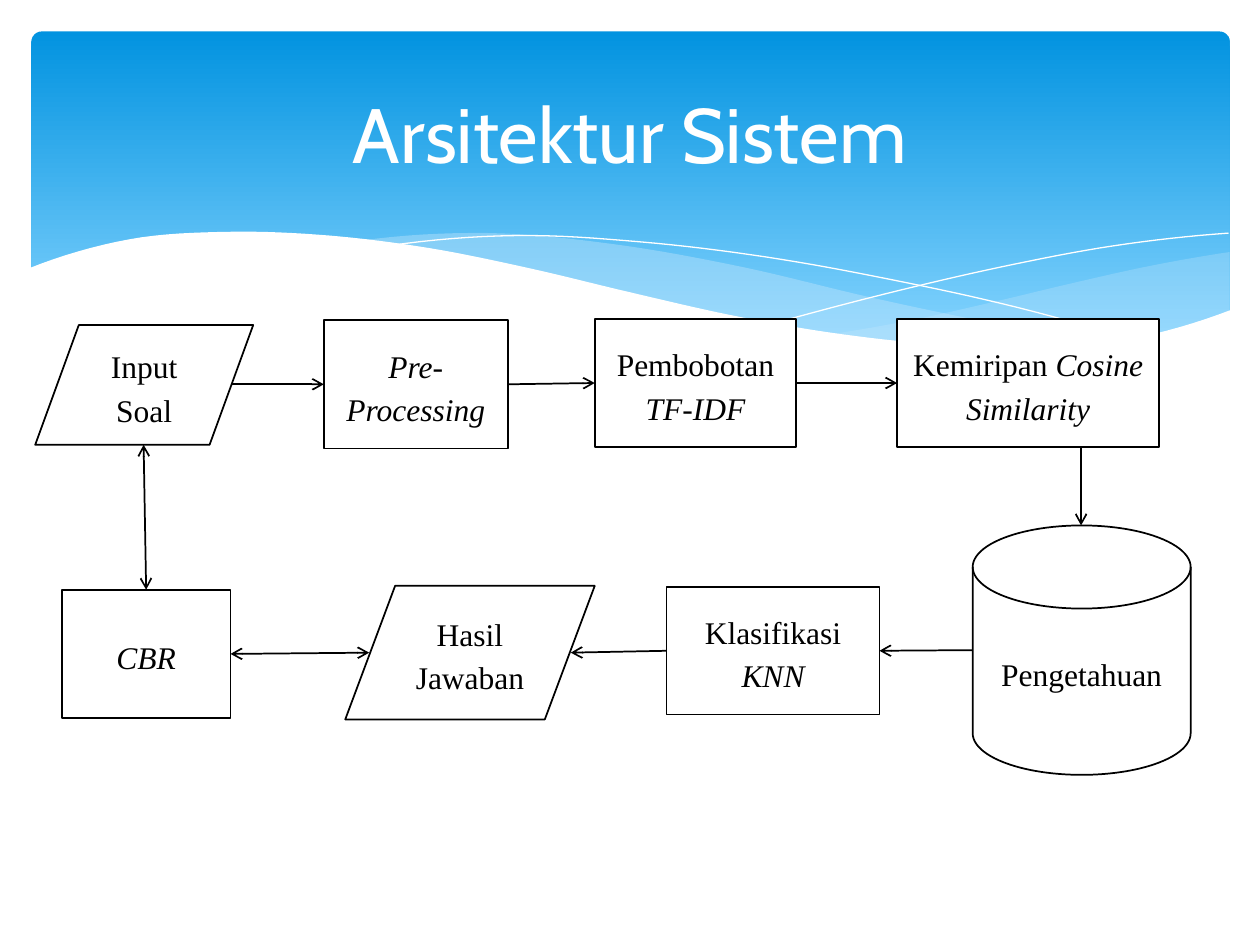
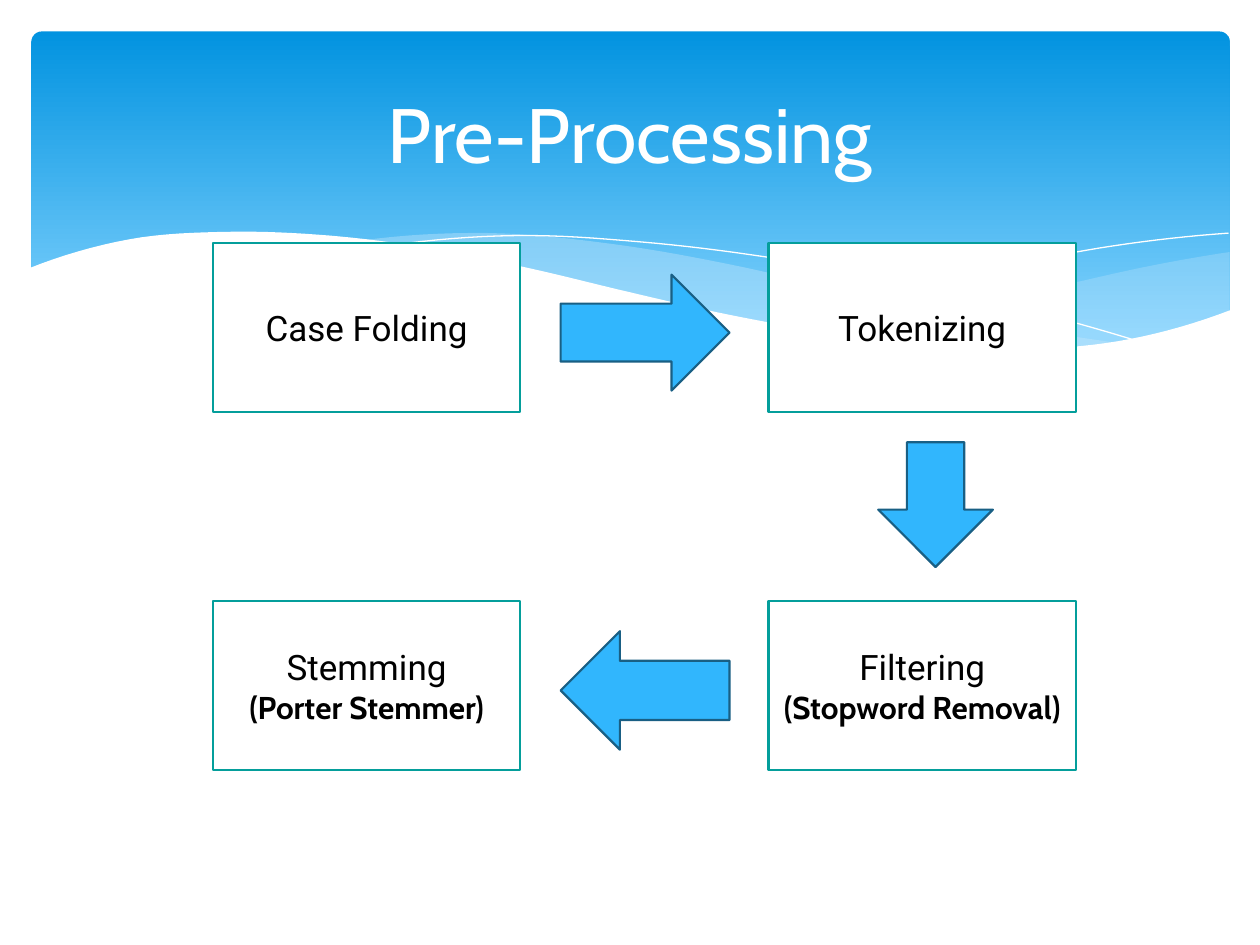
import pptx
import pptx.dml.color
import pptx.enum.shapes
import pptx.enum.text
import pptx.oxml
import pptx.oxml.ns
import pptx.util

PX = 9144  # EMU per px, 100 px to the inch
SHAPE = pptx.enum.shapes.MSO_SHAPE
NAMESPACE = pptx.oxml.ns.nsdecls("a")
COLORS = {
    "white": "FFFFFF", "black": "000000", "teal": "049E9B",
    "band_top": "0293E0", "band_bottom": "83D3FE", "wave": "C6E7FC",
    "arrow": "31B6FD", "arrow_line": "195F84",
}
RGB = {name: pptx.dml.color.RGBColor.from_string(value) for name, value in COLORS.items()}

# font, size, colour, bold, italic
STYLES = {
    "title": ("Cabin", 44, "white", False, False),
    "node": ("Times New Roman", 18, "black", False, False),
    "node_italic": ("Times New Roman", 18, "black", False, True),
    "step": ("Roboto", 20, "black", False, False),
    "method": ("Cabin", 18, "black", True, False),
}


def add_box(slide, kind, box, fill, line, line_width):
    shape = slide.shapes.add_shape(kind, *(length * PX for length in box))
    shape.shadow.inherit = False
    shape.fill.solid()
    shape.fill.fore_color.rgb = RGB[fill]
    shape.line.color.rgb = RGB[line]
    shape.line.width = pptx.util.Pt(line_width)
    return shape


def write(shape, paragraphs, line_spacing=1.0, space_after=0):
    """Fill a shape with centred paragraphs, each a list of (text, style) runs."""
    frame = shape.text_frame
    frame.word_wrap = True
    frame.vertical_anchor = pptx.enum.text.MSO_ANCHOR.MIDDLE
    for index, runs in enumerate(paragraphs):
        paragraph = frame.add_paragraph() if index else frame.paragraphs[0]
        paragraph.alignment = pptx.enum.text.PP_ALIGN.CENTER
        paragraph.line_spacing = line_spacing
        paragraph.space_after = pptx.util.Pt(space_after)
        for text, style in runs:
            name, size, color, bold, italic = STYLES[style]
            run = paragraph.add_run()
            run.text = text
            run.font.name = name
            run.font.size = pptx.util.Pt(size)
            run.font.color.rgb = RGB[color]
            run.font.bold = bold
            run.font.italic = italic


# Wave edges: left, right, and the heights at evenly spaced knots between them
EDGES = {
    "right_top": (661, 976, [265, 254, 240, 225, 211, 200]),
    "right_bottom": (661, 976, [265, 273, 277, 276, 267, 247]),
    "middle_top": (286, 893, [191, 185, 194, 212, 236, 257, 273]),
    "middle_bottom": (286, 893, [191, 207, 231, 253, 269, 278, 273]),
    "falling": (309, 907, [195, 187, 192, 204, 222, 244, 272]),
    "rising": (613, 975, [257, 233, 212, 195, 185]),
    "white_top": (23, 977, [213, 190, 184, 187, 197, 213, 232, 250, 264, 273, 277, 269, 246]),
    "white_bottom": (23, 977, [329, 329, 329]),
}
# upper edge, lower edge, fill, opacity in percent; without a lower edge it is a hairline
WAVES = [
    ("right_top", "right_bottom", "wave", 29),
    ("middle_top", "middle_bottom", "wave", 40),
    ("falling", None, None, 100),
    ("rising", None, None, 100),
    ("white_top", "white_bottom", "white", 100),
]

# Smooth every edge with a Catmull-Rom spline, extended by one knot at each end
STEPS_PER_KNOT = 8
curves = {}
for name, (left, right, heights) in EDGES.items():
    before_first = 3 * heights[0] - 3 * heights[1] + heights[2]
    after_last = 3 * heights[-1] - 3 * heights[-2] + heights[-3]
    knots = [before_first, *heights, after_last]
    spans = len(heights) - 1
    curve = []
    for sample in range(spans * STEPS_PER_KNOT + 1):
        span = min(sample // STEPS_PER_KNOT, spans - 1)
        t = sample / STEPS_PER_KNOT - span
        a, b, c, d = knots[span:span + 4]
        x = left + (right - left) * (span + t) / spans
        y = b + t / 2 * (c - a + t * (2 * a - 5 * b + 4 * c - d + t * (3 * (b - c) + d - a)))
        curve.append((round(x * PX), round(y * PX)))
    curves[name] = curve

presentation = pptx.Presentation()
presentation.slide_width = 1000 * PX
presentation.slide_height = 750 * PX

# Shared header: gradient band, waves and title
slides = []
for title in ("Arsitektur Sistem", "Pre-Processing"):
    slide = presentation.slides.add_slide(presentation.slide_layouts[6])
    slides.append(slide)

    band = add_box(slide, SHAPE.ROUNDED_RECTANGLE, (25, 25, 951, 270), "band_top", "white", 1)
    band.adjustments[0] = 0.03
    band.line.fill.background()
    band.fill.gradient()
    band.fill.gradient_angle = 270
    for stop, position, color in zip(band.fill.gradient_stops, (0, 0.9), ("band_top", "band_bottom")):
        stop.position = position
        stop.color.rgb = RGB[color]

    for upper, lower, fill, opacity in WAVES:
        outline = curves[upper] + (curves[lower][::-1] if lower else [])
        builder = slide.shapes.build_freeform(*outline[0])
        builder.add_line_segments(outline[1:], close=lower is not None)
        wave = builder.convert_to_shape()
        wave.shadow.inherit = False
        if fill:
            wave.line.fill.background()
            wave.fill.solid()
            wave.fill.fore_color.rgb = RGB[fill]
            color = wave.element.spPr.find(".//" + pptx.oxml.ns.qn("a:srgbClr"))
            color.append(pptx.oxml.parse_xml(f'<a:alpha {NAMESPACE} val="{opacity * 1000}"/>'))
        else:
            wave.fill.background()
            wave.line.color.rgb = RGB["white"]
            wave.line.width = 0

    title_box = slide.shapes.add_textbox(50 * PX, 37 * PX, 900 * PX, 137 * PX)
    write(title_box, [[(title, "title")]])

architecture, preprocessing = slides

# Slide 1: system architecture
DISK = SHAPE.FLOWCHART_MAGNETIC_DISK
DATA = SHAPE.FLOWCHART_DATA
PROCESS = SHAPE.FLOWCHART_PROCESS
NODES = {
    "question": (DATA, (28, 258, 173, 95), [("Input Soal", "node")]),
    "preprocessing": (PROCESS, (257, 254, 146, 102), [("Pre-Processing", "node_italic")]),
    "weighting": (PROCESS, (472, 253, 160, 102), [("Pembobotan ", "node"), ("TF-IDF", "node_italic")]),
    "similarity": (PROCESS, (712, 253, 208, 102),
                   [("Kemiripan ", "node"), ("Cosine Similarity", "node_italic")]),
    "knowledge": (DISK, (772, 417, 173, 198), [("Pengetahuan", "node")]),
    "knn": (PROCESS, (529, 466, 169, 101), [("Klasifikasi ", "node"), ("KNN", "node_italic")]),
    "answer": (DATA, (274, 465, 198, 106), [("Hasil Jawaban", "node")]),
    "cbr": (PROCESS, (49, 468, 134, 102), [("CBR", "node_italic")]),
}
TOP, LEFT, BOTTOM, RIGHT = range(4)
nodes = {}
side_points = {}
for name, (kind, box, runs) in NODES.items():
    nodes[name] = add_box(architecture, kind, box, "white", "black", 1)
    write(nodes[name], [runs], line_spacing=1.15, space_after=10)
    left, top, width, height = box
    slant = width // 10 if kind == DATA else 0  # slanted sides are inset at mid-height
    side_points[name, TOP] = (left + width // 2, top)
    side_points[name, LEFT] = (left + slant, top + height // 2)
    side_points[name, BOTTOM] = (left + width // 2, top + height)
    side_points[name, RIGHT] = (left + width - slant, top + height // 2)

# begin, end, arrowheads
ONE_WAY = ("tailEnd",)
TWO_WAY = ("headEnd", "tailEnd")
LINKS = [
    (("question", RIGHT), ("preprocessing", LEFT), ONE_WAY),
    (("preprocessing", RIGHT), ("weighting", LEFT), ONE_WAY),
    (("weighting", RIGHT), ("similarity", LEFT), ONE_WAY),
    (("similarity", BOTTOM), ("knowledge", TOP), ONE_WAY),
    (("knowledge", LEFT), ("knn", RIGHT), ONE_WAY),
    (("knn", LEFT), ("answer", RIGHT), ONE_WAY),
    (("cbr", RIGHT), ("answer", LEFT), TWO_WAY),
    (("cbr", TOP), ("question", BOTTOM), TWO_WAY),
]
for begin, end, arrowheads in LINKS:
    begin_x, begin_y = side_points[begin]
    end_x, end_y = side_points[end]
    drops_down = begin[1] == BOTTOM
    if drops_down:
        begin_x = end_x  # a downward link hangs straight above its target
    connector = architecture.shapes.add_connector(
        pptx.enum.shapes.MSO_CONNECTOR.STRAIGHT,
        begin_x * PX, begin_y * PX, end_x * PX, end_y * PX)
    if NODES[begin[0]][0] == PROCESS and not drops_down:
        connector.begin_connect(nodes[begin[0]], begin[1])
    if NODES[end[0]][0] == PROCESS:
        connector.end_connect(nodes[end[0]], end[1])
    connector.line.color.rgb = RGB["black"]
    connector.line.width = pptx.util.Pt(1)
    for tag in arrowheads:
        connector.get_or_add_ln().append(pptx.oxml.parse_xml(f'<a:{tag} {NAMESPACE} type="arrow"/>'))
    connector.element.spPr.append(pptx.oxml.parse_xml(f"<a:effectLst {NAMESPACE}/>"))

# Slide 2: pre-processing steps on a grid of two columns and two rows
COLUMNS = (169, 610)
ROWS = (193, 477)
STEP_WIDTH, STEP_HEIGHT = 244, 134
STEPS = [
    (0, 0, [("Case Folding", "step")]),
    (1, 0, [("Tokenizing", "step")]),
    (1, 1, [("Filtering", "step")], [("(Stopword Removal)", "method")]),
    (0, 1, [("Stemming", "step")], [("(Porter Stemmer)", "method")]),
]
for column, row, *paragraphs in STEPS:
    box = (COLUMNS[column], ROWS[row], STEP_WIDTH, STEP_HEIGHT)
    write(add_box(preprocessing, SHAPE.RECTANGLE, box, "white", "teal", 1.25), paragraphs)

ARROWS = [
    (SHAPE.RIGHT_ARROW, (445, 218, 134, 92)),
    (SHAPE.DOWN_ARROW, (697, 351, 91, 99)),
    (SHAPE.LEFT_ARROW, (445, 501, 134, 94)),
]
for kind, box in ARROWS:
    add_box(preprocessing, kind, box, "arrow", "arrow_line", 1.25)

presentation.save("out.pptx")
